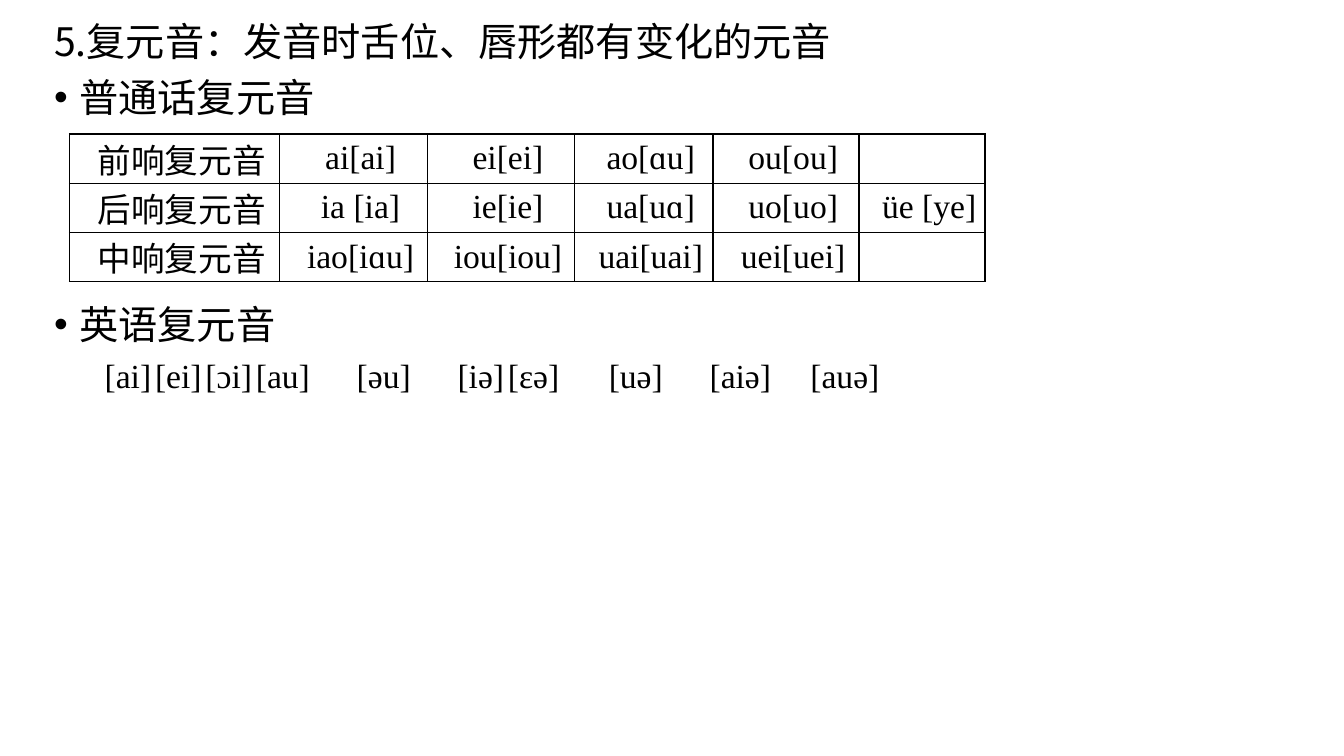
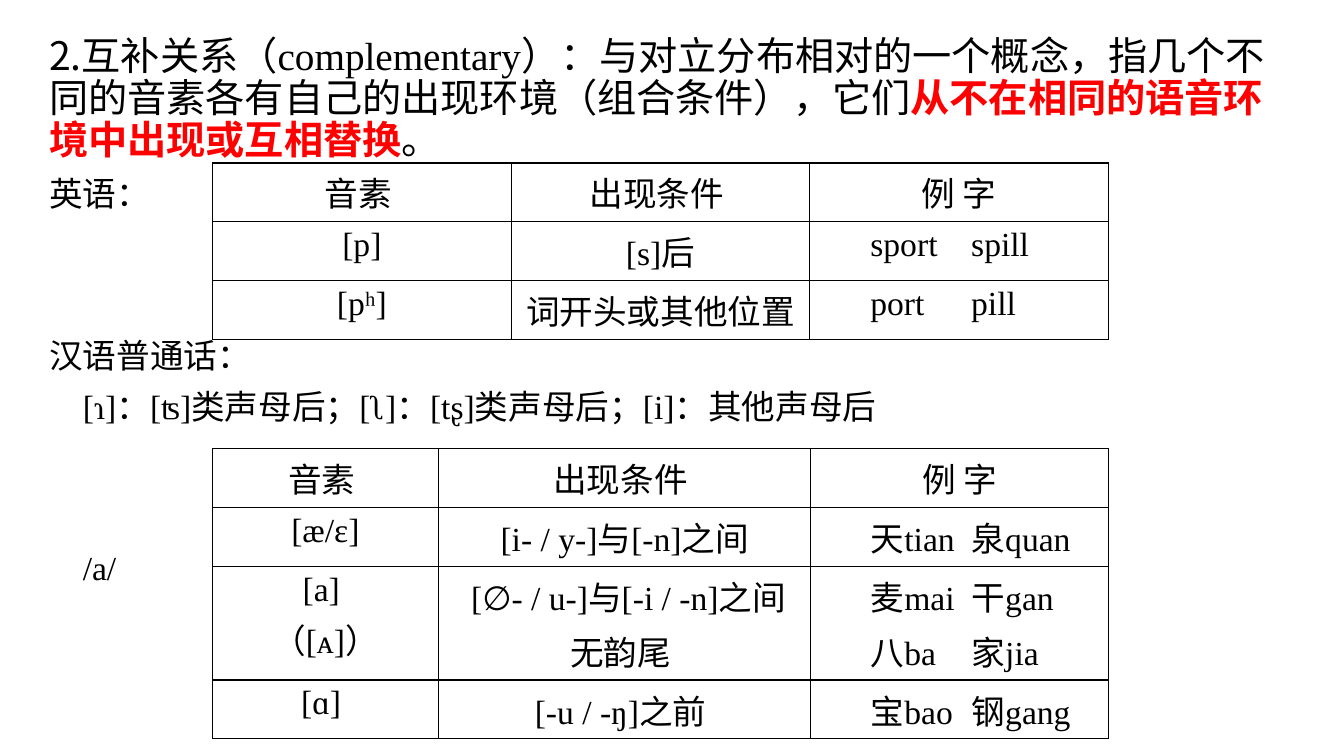
from dataclasses import dataclass
from typing import Any

import pptx
import pptx.dml.color
import pptx.enum.text
import pptx.oxml
import pptx.oxml.ns
import pptx.util
from lxml import etree

BLACK = pptx.dml.color.RGBColor(0x00, 0x00, 0x00)
RED = pptx.dml.color.RGBColor(0xFF, 0x00, 0x00)
SANS, SERIF, SYMBOL = "Noto Sans CJK SC", "Times New Roman", "Lato"
LARGE, MEDIUM = 28, 24
LINE_HEIGHT = {LARGE: 30, MEDIUM: 26}

WIDTH, HEIGHT = pptx.util.Inches(13.33), pptx.util.Inches(7.5)
COLUMN, ROW = WIDTH / 160, HEIGHT / 90
TEXT_INDENT = 4
BULLET_INDENT = 3

CENTER = pptx.enum.text.PP_ALIGN.CENTER
LEFT = pptx.enum.text.PP_ALIGN.LEFT
TOP = pptx.enum.text.MSO_ANCHOR.TOP
MIDDLE = pptx.enum.text.MSO_ANCHOR.MIDDLE


@dataclass(frozen=True)
class Span:
    text: str
    font: str = SERIF
    color: pptx.dml.color.RGBColor = BLACK
    bold: bool = False


@dataclass(frozen=True)
class Para:
    """One paragraph; margin, indent and tab stops are in grid columns."""
    spans: tuple[Span, ...]
    size: int = MEDIUM
    margin: float = 0
    indent: float = 0
    bullet: bool = False
    stops: tuple[float, ...] = ()
    align: Any = LEFT
    before: float = 10
    line: int | None = None


@dataclass(frozen=True)
class Grid:
    """A table; place and sizes are in grid columns and rows."""
    left: float
    top: float
    columns: tuple[float, ...]
    rows: tuple[float, ...]
    cells: tuple[tuple[tuple[Para, ...], ...], ...]
    anchor: Any = TOP
    padded: bool = True


def across(columns: float) -> int:
    return round(columns * COLUMN)


def down(rows: float) -> int:
    return round(rows * ROW)


def assign(target: Any, values: dict[str, Any]) -> None:
    for name, value in values.items():
        setattr(target, name, value)


def child(parent: Any, tag: str, **attributes: Any) -> Any:
    element = etree.SubElement(parent, pptx.oxml.ns.qn(tag))
    for name, value in attributes.items():
        element.set(name, str(value))
    return element


def body(text: str, font: str = SANS, size: int = MEDIUM, **options: Any) -> Para:
    return Para((Span(text, font),), size, line=LINE_HEIGHT[size], **options)


def bullet(text: str) -> Para:
    return body(text, size=LARGE, margin=BULLET_INDENT,
                indent=-BULLET_INDENT, bullet=True)


def centred(*spans: str | Span, indent: float = 0) -> Para:
    parts = tuple(Span(part) if isinstance(part, str) else part for part in spans)
    return Para(parts, indent=indent, align=CENTER, before=4.8)


def example(first: float, second: float, *words: str) -> Para:
    """Sample words, each at its own tab stop."""
    text = "".join("\t" + word for word in words)
    return Para((Span(text),), stops=(first, second), before=4.8)


def write(frame: Any, paras: tuple[Para, ...]) -> None:
    for index, para in enumerate(paras):
        target = frame.add_paragraph() if index else frame.paragraphs[0]
        properties = target._p.get_or_add_pPr()
        properties.set("marL", str(across(para.margin)))
        properties.set("indent", str(across(para.indent)))
        if para.bullet:
            child(properties, "a:buFont", typeface="Arial")
            child(properties, "a:buChar", char="•")
        else:
            child(properties, "a:buNone")
        if para.stops:
            stops = child(properties, "a:tabLst")
            for stop in para.stops:
                child(stops, "a:tab", pos=across(stop), algn="l")
        assign(target, {
            "alignment": para.align,
            "space_before": pptx.util.Pt(para.before if index else 0),
            "line_spacing": pptx.util.Pt(para.line) if para.line else None,
        })
        for span in para.spans:
            run = target.add_run()
            run.text = span.text
            assign(run.font, {"name": span.font, "bold": span.bold,
                              "size": pptx.util.Pt(para.size)})
            run.font.color.rgb = span.color
            child(run._r.get_or_add_rPr(), "a:ea", typeface=SANS)


def add_text(page: Any, left: float, top: float, width: float, *paras: Para) -> None:
    height = pptx.util.Pt(sum(para.line + para.before for para in paras))
    box = page.shapes.add_textbox(across(left), down(top), across(width), height)
    box.text_frame.word_wrap = True
    write(box.text_frame, paras)


def add_borders(cell: Any) -> None:
    properties = cell._tc.get_or_add_tcPr()
    for position, side in enumerate(("a:lnL", "a:lnR", "a:lnT", "a:lnB")):
        line = pptx.oxml.parse_xml(
            f'<{side} {pptx.oxml.ns.nsdecls("a")} w="{pptx.util.Pt(1)}"><a:solidFill>'
            f'<a:srgbClr val="{BLACK}"/></a:solidFill></{side}>')
        properties.insert(position, line)


def add_grid(page: Any, grid: Grid) -> None:
    table = page.shapes.add_table(
        len(grid.rows), len(grid.columns), across(grid.left), down(grid.top),
        across(sum(grid.columns)), down(sum(grid.rows))).table
    assign(table, {"first_row": False, "horz_banding": False})
    for column, width in zip(table.columns, grid.columns):
        column.width = across(width)
    for row, height, contents in zip(table.rows, grid.rows, grid.cells):
        row.height = down(height)
        for cell, paras in zip(row.cells, contents):
            cell.fill.background()
            add_borders(cell)
            cell.vertical_anchor = grid.anchor
            if not grid.padded:
                assign(cell, dict.fromkeys(
                    ("margin_left", "margin_right", "margin_top", "margin_bottom"), 0))
            if paras:
                write(cell.text_frame, paras)


def diphthong_slide(page: Any) -> None:
    add_text(page, 5.28, 2.04, 148.3,
             body("5.复元音：发音时舌位、唇形都有变化的元音", size=LARGE),
             bullet("普通话复元音"))
    vowels = (
        ("前响复元音", "ai[ai]", "ei[ei]", "ao[ɑu]", "ou[ou]", ""),
        ("后响复元音", "ia [ia]", "ie[ie]", "ua[uɑ]", "uo[uo]", "üe [ye]"),
        ("中响复元音", "iao[iɑu]", "iou[iou]", "uai[uai]", "uei[uei]", ""),
    )
    cells = tuple(
        tuple((centred(text, indent=1.7),) if text else () for text in row)
        for row in vowels)
    add_grid(page, Grid(8.28, 15.96, (25, 17.6, 17.5, 16.5, 17.4, 15),
                        (5.84,) * 3, cells, MIDDLE, padded=False))
    english = ("[ai]", "[ei]", "[ɔi]", "[au]", "[əu]",
               "[iə]", "[ɛə]", "[uə]", "[aiə]", "[auə]")
    stops = (TEXT_INDENT, 12.6, 21.1, 29.6, 39, 48.5, 57, 66.1, 75.6, 85.9)
    add_text(page, 5.28, 35.82, 148.3, bullet("英语复元音"),
             body("".join("\t" + sound for sound in english), SERIF,
                  stops=stops, before=8))


def complementary_slide(page: Any) -> None:
    left, width, table_left = 4.68, 151.08, 25.3
    definition = (
        Span("2.互补关系（", SANS),
        Span("complementary"),
        Span("）：与对立分布相对的一个概念，指几个不同的音素各有自己的出现环境"
             "（组合条件），它们", SANS),
        Span("从不在相同的语音环境中出现或互相替换", SANS, RED, True),
        Span("。", SANS),
    )
    add_text(page, left, 3.72, width,
             Para(definition, LARGE, line=LINE_HEIGHT[LARGE]))
    add_text(page, left, 20.5, 20, body("英语："))
    add_text(page, left, 39.8, width, body("汉语普通话："),
             body("[ɿ]：[ʦ]类声母后；[ʅ]：[tʂ]类声母后；[i]：其他声母后",
                  SERIF, margin=TEXT_INDENT))
    add_text(page, left, 65, 20, body("/a/", SERIF, margin=TEXT_INDENT))

    header = tuple((centred(text),) for text in ("音素 ", "出现条件 ", "例 字"))
    english = (
        header,
        ((centred("[p]"),), (centred("[s]后"),),
         (example(5.2, 20.2, "sport", "spill"),)),
        ((centred("[pʰ]"),), (centred("词开头或其他位置"),),
         (example(7.2, 20.7, "port", "pill"),)),
    )
    add_grid(page, Grid(table_left, 19.4, (35.56,) * 3, (7,) * 3, english))
    mandarin = (
        header,
        ((centred("[æ/ε]"),), (centred(" [i- / y-]与[-n]之间 "),),
         (example(2.5, 16.6, "天tian", "泉quan"),)),
        ((centred("[a] "), centred("（[ᴀ]）")),
         (centred(" [", Span("∅", SYMBOL), "- / u-]与[-i / -n]之间"),
          centred("无韵尾 ")),
         (example(3, 17.1, "麦mai", "干gan"),
          example(5.5, 17.5, "八ba", "家jia"))),
        ((centred("[ɑ] "),), (centred("[-u / -ŋ]之前 "),),
         (example(3.2, 17, "宝bao", "钢gang"),)),
    )
    add_grid(page, Grid(table_left, 53.4, (26.88, 44.28, 35.52),
                        (7, 7, 13.56, 7), mandarin))


def main() -> None:
    deck = pptx.Presentation()
    assign(deck, {"slide_width": WIDTH, "slide_height": HEIGHT})
    for draw in (diphthong_slide, complementary_slide):
        draw(deck.slides.add_slide(deck.slide_layouts[6]))
    deck.save("out.pptx")


if __name__ == "__main__":
    main()
